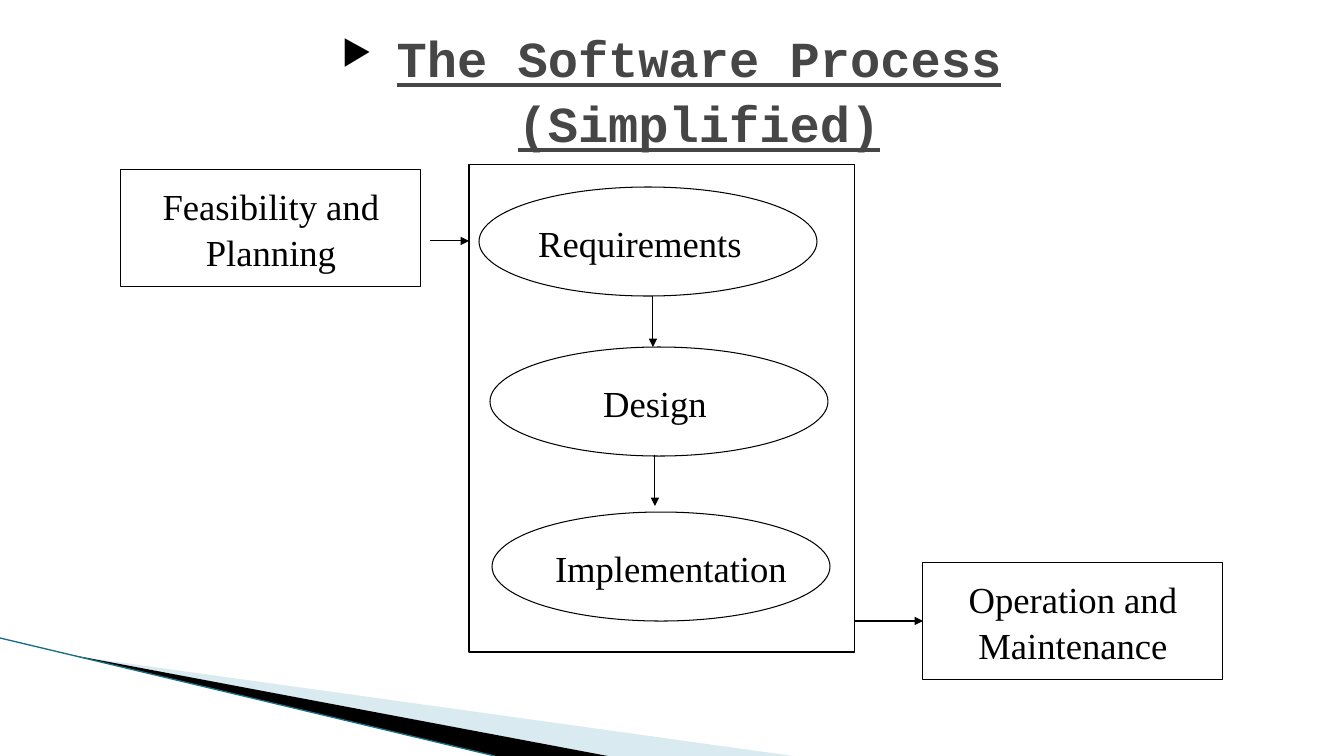
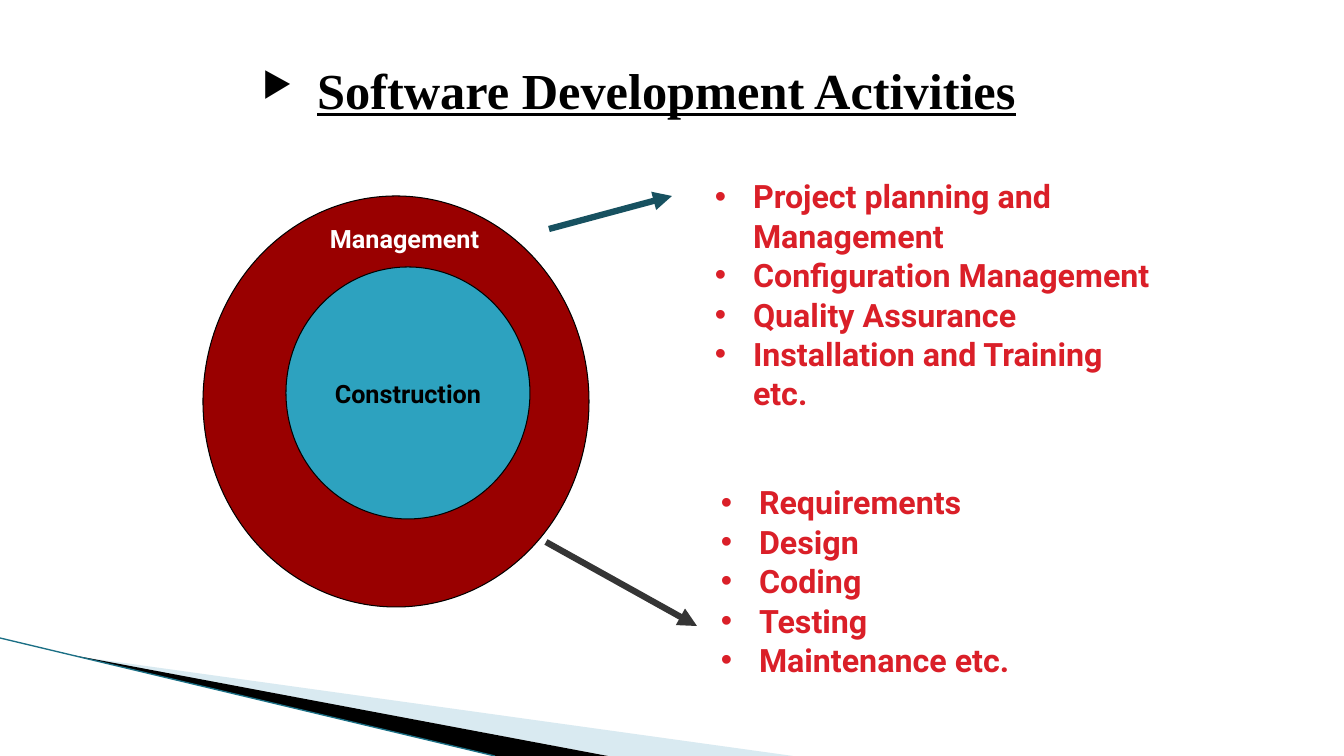
"""Build two slides on the software process."""
from lxml import etree
from pptx import Presentation
from pptx.dml.color import RGBColor
from pptx.enum.shapes import MSO_CONNECTOR, MSO_SHAPE
from pptx.enum.text import MSO_ANCHOR, MSO_AUTO_SIZE, PP_ALIGN
from pptx.oxml.ns import qn
from pptx.util import Emu, Pt

RECT, OVAL = MSO_SHAPE.RECTANGLE, MSO_SHAPE.OVAL
STRAIGHT = MSO_CONNECTOR.STRAIGHT
TOP, MIDDLE = MSO_ANCHOR.TOP, MSO_ANCHOR.MIDDLE
LEFT, CENTER = PP_ALIGN.LEFT, PP_ALIGN.CENTER
FIXED = MSO_AUTO_SIZE.NONE

BLACK = RGBColor(0x00, 0x00, 0x00)
WHITE = RGBColor(0xFF, 0xFF, 0xFF)
GRAY = RGBColor(0x46, 0x46, 0x46)
COAL = RGBColor(0x35, 0x35, 0x35)
RED = RGBColor(0xDA, 0x1F, 0x28)
MAROON = RGBColor(0x99, 0x00, 0x00)
BLUE = RGBColor(0x2D, 0xA2, 0xBF)
TEAL = RGBColor(0x17, 0x51, 0x60)
PALE = RGBColor(0xA0, 0xCB, 0xDC)
EDGE = RGBColor(0x1B, 0x6F, 0x85)

SERIF, MONO, SANS = "Times New Roman", "Courier New", "Roboto"
WIDE, HIGH = 1344, 756
SCALE = 12192000 / WIDE


def px(*sizes):
    """Turn lengths in px into EMU."""
    return [Emu(round(size * SCALE)) for size in sizes]


def sub(parent, tag, **attrs):
    """Add an XML child with the given attributes."""
    child = etree.SubElement(parent, qn(tag))
    for key, value in attrs.items():
        child.set(key, str(value))
    return child


def bullet(par, char, indent, color, size):
    """Give a paragraph a hanging bullet."""
    props = par._p.get_or_add_pPr()
    hang = px(indent)[0]
    props.set("marL", str(hang))
    props.set("indent", str(-hang))
    sub(sub(props, "a:buClr"), "a:srgbClr", val=color)
    sub(props, "a:buSzPct", val=size * 1000)
    sub(props, "a:buChar", char=char)


def write(shape, text, face, size, color, bold=False, align=CENTER,
          anchor=MIDDLE, space=1.0, mark=None):
    """Fill a shape with paragraphs in one style."""
    frame = shape.text_frame
    frame.text = text
    frame.word_wrap = True
    frame.auto_size = FIXED
    frame.vertical_anchor = anchor
    frame.margin_left, frame.margin_top = px(10, 5)
    frame.margin_right, frame.margin_bottom = px(10, 5)
    for par in frame.paragraphs:
        if mark:
            bullet(par, *mark)
        par.alignment = align
        par.line_spacing = space
        par.space_before = Pt(0)
        font = par.font
        font.name, font.size, font.bold = face, Pt(size), bold
        font.color.rgb = color


def draw(slide, kind, box, fill=None):
    """Add a black outlined shape."""
    shape = slide.shapes.add_shape(kind, *px(*box))
    shape.shadow.inherit = False
    if fill is None:
        shape.fill.background()
    else:
        shape.fill.solid()
        shape.fill.fore_color.rgb = fill
    shape.line.color.rgb = BLACK
    shape.line.width = Pt(0.75)
    return shape


def label(slide, box, text, *style, **more):
    """Add a text box."""
    write(slide.shapes.add_textbox(*px(*box)), text, *style, **more)


def link(slide, ends, color=BLACK, width=0.75, head=True):
    """Add a straight line, with an arrowhead if asked."""
    line = slide.shapes.add_connector(STRAIGHT, *px(*ends))
    line.line.color.rgb = color
    line.line.width = Pt(width)
    props = line.element.spPr
    if head:
        sub(props.find(qn("a:ln")), "a:tailEnd", type="triangle")
    sub(props, "a:effectLst")
    return line


def wedge(slide, points, color, alpha=100):
    """Add a filled outline through the points."""
    first, *rest = [px(*point) for point in points]
    path = slide.shapes.build_freeform(*first, scale=1.0)
    path.add_line_segments(rest, close=True)
    shape = path.convert_to_shape()
    shape.shadow.inherit = False
    shape.fill.solid()
    shape.fill.fore_color.rgb = color
    shape.line.fill.background()
    if alpha < 100:
        tint = shape.element.spPr.find(".//" + qn("a:srgbClr"))
        sub(tint, "a:alpha", val=alpha * 1000)
    return shape


def brand(deck, slide):
    """Draw the corner band and move it to the master."""
    band = [
        wedge(slide, [(74, 656), (793, HIGH), (608, HIGH)], PALE, 40),
        wedge(slide, [(72, 655), (608, HIGH), (495, HIGH)], BLACK),
        link(slide, (0, 638, 495, HIGH), EDGE, 0.95, head=False),
    ]
    tree = deck.slide_master.shapes.element
    for place, part in enumerate(band):
        part.element.find(".//" + qn("p:cNvPr")).set("id", str(90 + place))
        tree.insert(2 + place, part.element)


def place(shape, box):
    """Move a shape to a box."""
    shape.left, shape.top, shape.width, shape.height = px(*box)


def head(slide, box, text, face, color):
    """Set the slide title in the shared style."""
    title = slide.shapes.title
    place(title, box)
    write(title, text, face, 36, color, True, space=1.07,
          mark=("▶", 55, BLACK, 68))
    title.text_frame.paragraphs[0].font.underline = True


def phase(slide, left, top, text):
    """Add a boxed phase outside the main frame."""
    shape = draw(slide, RECT, (left, top, 300, 118))
    write(shape, text, SERIF, 26.2, BLACK, space=1.05)
    return shape


def flow(slide, left, top):
    """Draw the frame with its chain of steps."""
    draw(slide, RECT, (left, top, 386, 488))
    steps = [("Requirements", 10, 23, 171), ("Design", 21, 183, 186),
             ("Implementation", 23, 348, 202)]
    for text, x, y, mid in steps:
        draw(slide, OVAL, (left + x, top + y, 338, 109))
        label(slide, (left + mid - 150, top + y + 1, 300, 109), text,
              SERIF, 26.2, BLACK)
    for x, y in [(184, 132), (186, 291)]:
        link(slide, (left + x, top + y, left + x, top + y + 51))


def rings(slide, left, top):
    """Draw the two nested circles."""
    draw(slide, OVAL, (left, top, 386, 411), MAROON)
    label(slide, (left + 117, top + 22, 244, 40), "Management",
          SANS, 18, WHITE, True, align=LEFT)
    core = draw(slide, OVAL, (left + 83, top + 71, 244, 252), BLUE)
    write(core, "Construction", SANS, 18, BLACK, True)
    core.text_frame.word_wrap = False


def tasks(body, box, items):
    """Fill a body placeholder with a red list."""
    place(body, box)
    write(body, "\n".join(items), SANS, 23, RED, True, LEFT, TOP, 1.02,
          ("•", 38, RED, 100))


def process(deck):
    """Build the process slide."""
    slide = deck.slides.add_slide(deck.slide_layouts[5])
    brand(deck, slide)
    head(slide, (179, 37, 985, 101), "The Software Process (Simplified)",
         MONO, GRAY)
    phase(slide, 121, 169, "Feasibility and\nPlanning")
    flow(slide, 469, 164)
    last = phase(slide, 923, 562, "Operation and\nMaintenance")
    link(slide, (430, 241, 469, 241))
    link(slide, (855, 621, 923, 621)).end_connect(last, 1)


def actions(deck):
    """Build the activities slide."""
    slide = deck.slides.add_slide(deck.slide_layouts[3])
    head(slide, (219, 54, 840, 66), "Software Development Activities",
         SERIF, BLACK)
    rings(slide, 203, 196)
    tasks(slide.placeholders[1], (705, 171, 462, 283), [
        "Project planning and Management", "Configuration Management",
        "Quality Assurance", "Installation and Training etc."])
    tasks(slide.placeholders[2], (711, 477, 462, 206), [
        "Requirements", "Design", "Coding", "Testing", "Maintenance etc."])
    link(slide, (549, 229, 672, 196), TEAL, 4.5)
    link(slide, (546, 542, 697, 626), COAL, 4.5)


def main():
    """Build and save the deck."""
    deck = Presentation()
    deck.slide_width, deck.slide_height = px(WIDE, HIGH)
    process(deck)
    actions(deck)
    deck.save("out.pptx")


if __name__ == "__main__":
    main()
